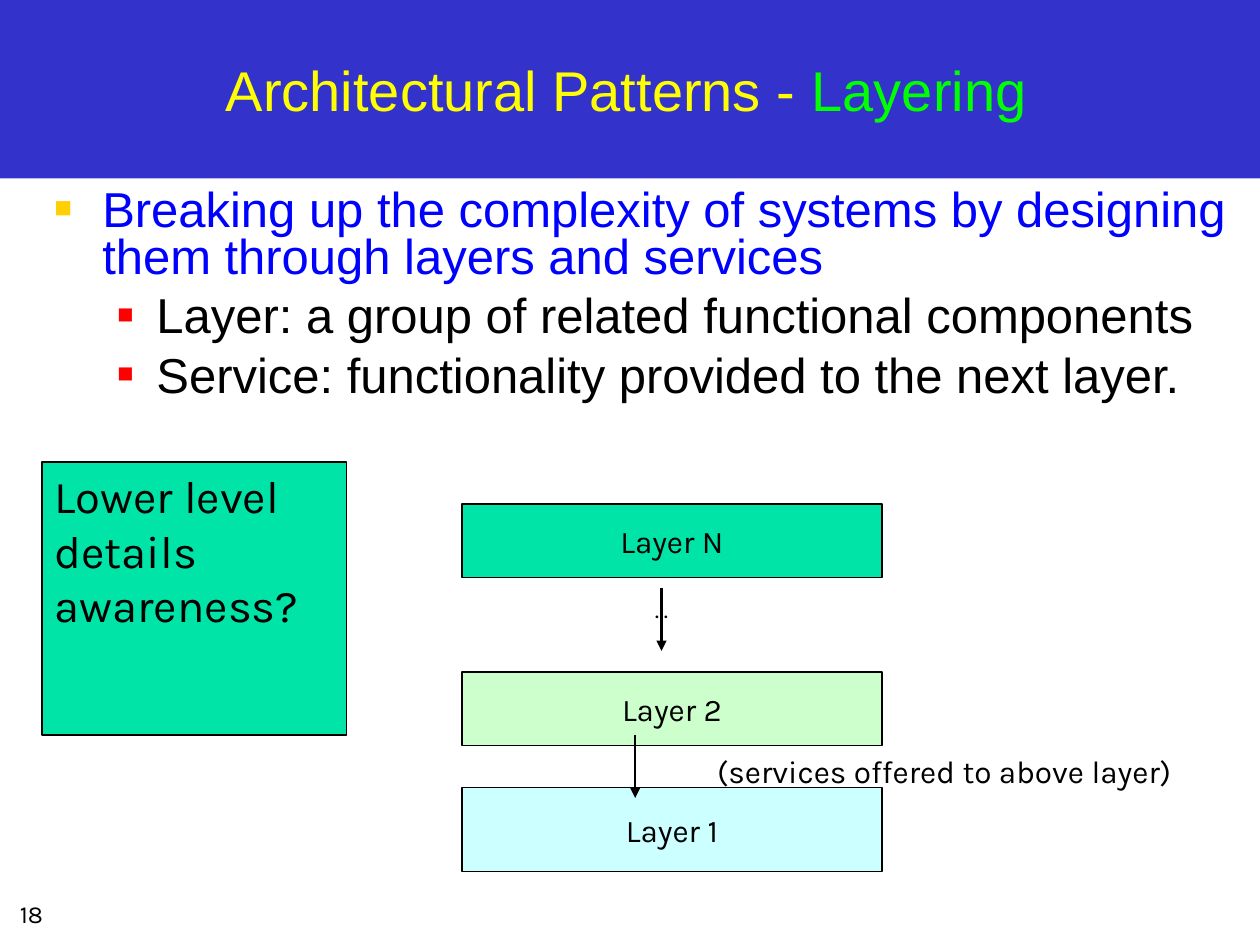
from dataclasses import dataclass
from typing import Optional

from lxml.etree import SubElement
from pptx import Presentation
from pptx.dml.color import RGBColor
from pptx.enum.shapes import MSO_CONNECTOR, MSO_SHAPE
from pptx.enum.text import MSO_ANCHOR, PP_ALIGN
from pptx.oxml.ns import qn
from pptx.util import Inches, Pt

COLOURS = {
    "band": "3333CC", "title": "FFFF00", "accent": "00FF00", "lead": "0000FF",
    "ink": "000000", "gold": "FFCF01", "red": "FF0000",
    "green": "00E4A8", "pale_green": "CCFFCC", "pale_blue": "CCFFFF",
}
UNIT = 1 / 12  # grid step in inches: 120 columns by 90 rows


@dataclass(frozen=True)
class Area:
    column: float
    row: float
    columns: float
    rows: float

    def lengths(self) -> list:
        return [Inches(n * UNIT) for n in (self.column, self.row, self.columns, self.rows)]


@dataclass(frozen=True)
class Bullet:
    colour: str
    percent: int
    margin: float
    hanging: float
    level: int


@dataclass(frozen=True)
class Layer:
    name: str
    row: float
    rows: float
    colour: str


@dataclass(frozen=True)
class Arrow:
    column: float
    row: float
    rows: float


def rgb(name: str) -> RGBColor:
    return RGBColor.from_string(COLOURS[name])


def add_box(page, area: Area, fill: str, line: Optional[str] = None):
    box = page.shapes.add_shape(MSO_SHAPE.RECTANGLE, *area.lengths())
    box.shadow.inherit = False
    box.fill.solid()
    box.fill.fore_color.rgb = rgb(fill)
    if line:
        box.line.color.rgb = rgb(line)
        box.line.width = Pt(0.74)
    else:
        box.line.fill.background()
    return box


def add_label(page, area: Area):
    return page.shapes.add_textbox(*area.lengths())


def add_bullet(para, bullet: Bullet) -> None:
    para.level = bullet.level
    para.line_spacing = 0.8
    para.space_before = Pt(7)
    properties = para._p.get_or_add_pPr()
    properties.set("marL", str(Inches(bullet.margin)))
    properties.set("indent", str(-Inches(bullet.hanging)))
    colour = SubElement(properties, qn("a:buClr"))
    SubElement(colour, qn("a:srgbClr"), val=COLOURS[bullet.colour])
    SubElement(properties, qn("a:buSzPct"), val=str(bullet.percent * 1000))
    SubElement(properties, qn("a:buFont"), typeface="Arial")
    SubElement(properties, qn("a:buChar"), char="■")


def write(box, *spans: tuple[str, str], size: float = 18, font: str = "Karla",
          align=PP_ALIGN.CENTER, anchor=MSO_ANCHOR.TOP, wrap: bool = False,
          bullet: Optional[Bullet] = None, first: bool = True) -> None:
    """Write one paragraph made of (text, colour) spans."""
    frame = box.text_frame
    frame.word_wrap = wrap
    frame.vertical_anchor = anchor
    para = frame.paragraphs[0] if first else frame.add_paragraph()
    para.alignment = align
    if bullet:
        add_bullet(para, bullet)
    for text, colour in spans:
        span = para.add_run()
        span.text = text
        span.font.size = Pt(size)
        span.font.name = font
        span.font.color.rgb = rgb(colour)


def add_arrow(page, arrow: Arrow) -> None:
    x, top, _, height = Area(arrow.column, arrow.row, 0, arrow.rows).lengths()
    line = page.shapes.add_connector(MSO_CONNECTOR.STRAIGHT, x, top, x, top + height)
    line.line.color.rgb = rgb("ink")
    line.line.width = Pt(1.25)
    SubElement(line.line._get_or_add_ln(), qn("a:tailEnd"), type="triangle")
    SubElement(line._element.spPr, qn("a:effectLst"))


deck = Presentation()
deck.slide_width, deck.slide_height = Inches(10), Inches(7.5)
page = deck.slides.add_slide(deck.slide_layouts[6])

# Title band and page number
add_box(page, Area(0, 0, 120, 17), "band")
write(add_label(page, Area(-4, 85, 14, 4.5)), ("18", "ink"), size=14)
write(add_label(page, Area(2, 2, 115.3, 13)),
      ("Architectural Patterns - ", "title"), ("Layering", "accent"),
      size=32, font="Arial", anchor=MSO_ANCHOR.MIDDLE, wrap=True)

# Definitions
LEAD = Bullet("gold", 60, 0.38, 0.38, 0)
DETAIL = Bullet("red", 55, 0.81, 0.31, 1)
DEFINITIONS = [
    ("Breaking up the complexity of systems by designing them through layers and services",
     "lead", LEAD),
    ("Layer: a group of related functional components", "ink", DETAIL),
    ("Service: functionality provided to the next layer.", "ink", DETAIL),
]
body = add_label(page, Area(4, 17.5, 116, 27))
for index, (text, colour, bullet) in enumerate(DEFINITIONS):
    write(body, (text, colour), size=28, font="Arial", align=PP_ALIGN.LEFT,
          wrap=True, bullet=bullet, first=index == 0)

# Stack of layers
LAYERS = [
    Layer("Layer 1", 75, 8, "pale_blue"),
    Layer("Layer 2", 64, 7, "pale_green"),
    Layer("Layer N", 48, 7, "green"),
]
for layer in LAYERS:
    box = add_box(page, Area(44, layer.row, 40, layer.rows), layer.colour, "ink")
    write(box, (layer.name, "ink"), anchor=MSO_ANCHOR.MIDDLE)

# Labels and arrows between the layers
write(add_label(page, Area(66.3, 71, 47.3, 4.8)), ("(services offered to above layer)", "ink"))
write(add_label(page, Area(60.9, 56, 4.2, 4)), ("…", "ink"), size=14)
for arrow in (Arrow(63, 56, 6), Arrow(60.5, 70, 6)):
    add_arrow(page, arrow)

# Question
question = add_box(page, Area(4, 44, 29, 26), "green", "ink")
for index, text in enumerate(("Lower level ", "details ", "awareness?")):
    write(question, (text, "ink"), size=26, align=PP_ALIGN.LEFT, first=index == 0)

deck.save("out.pptx")
